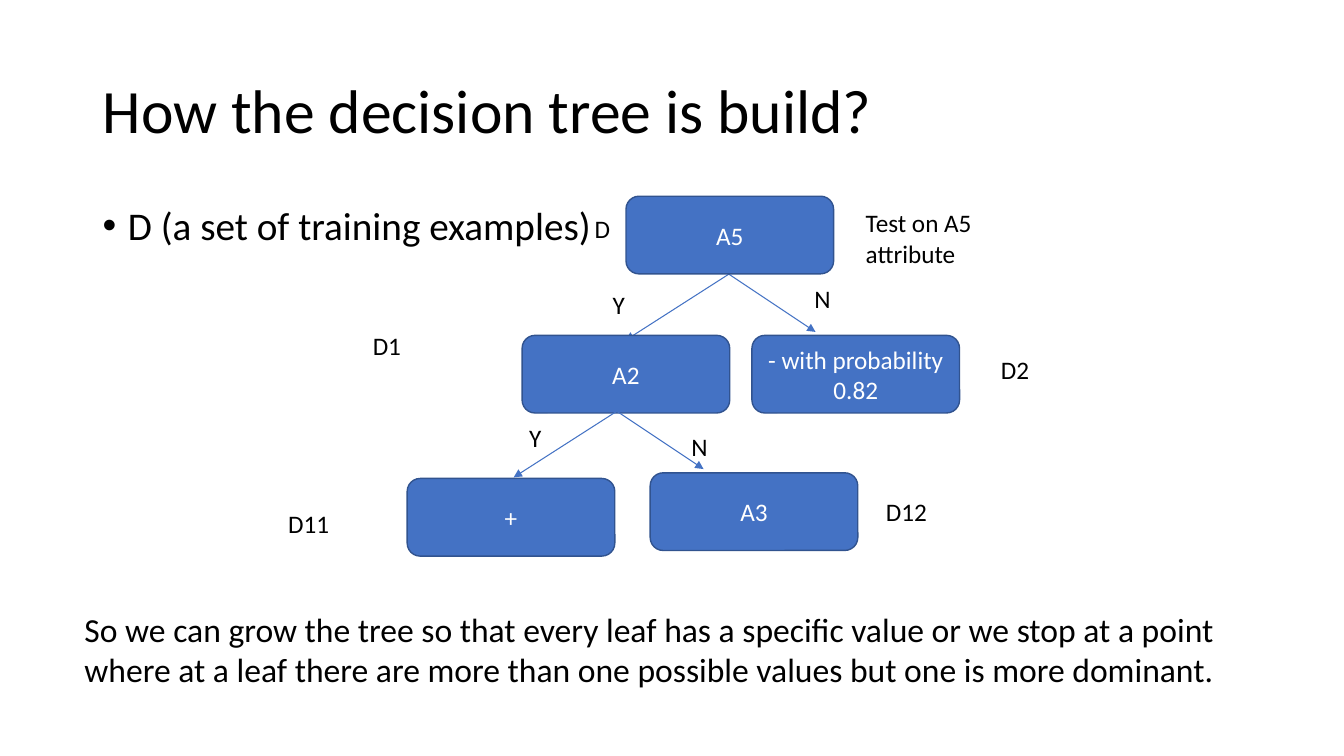
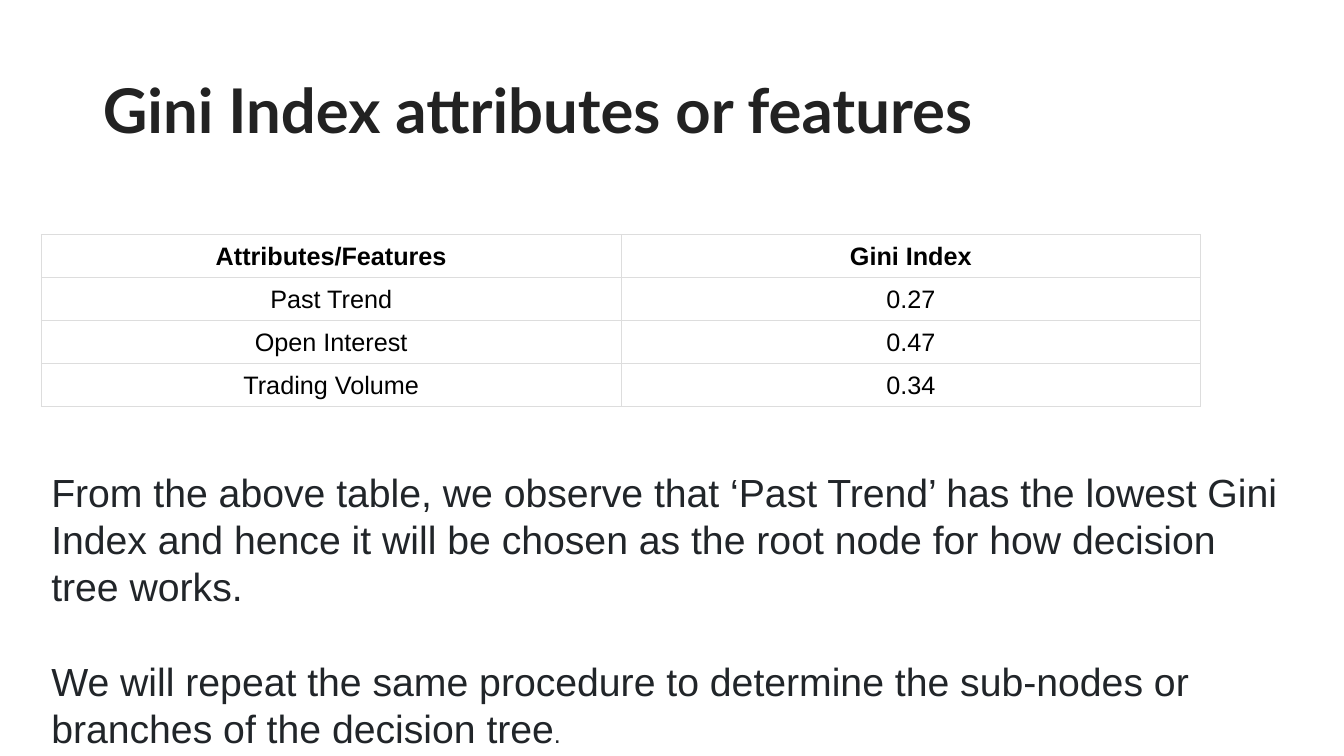
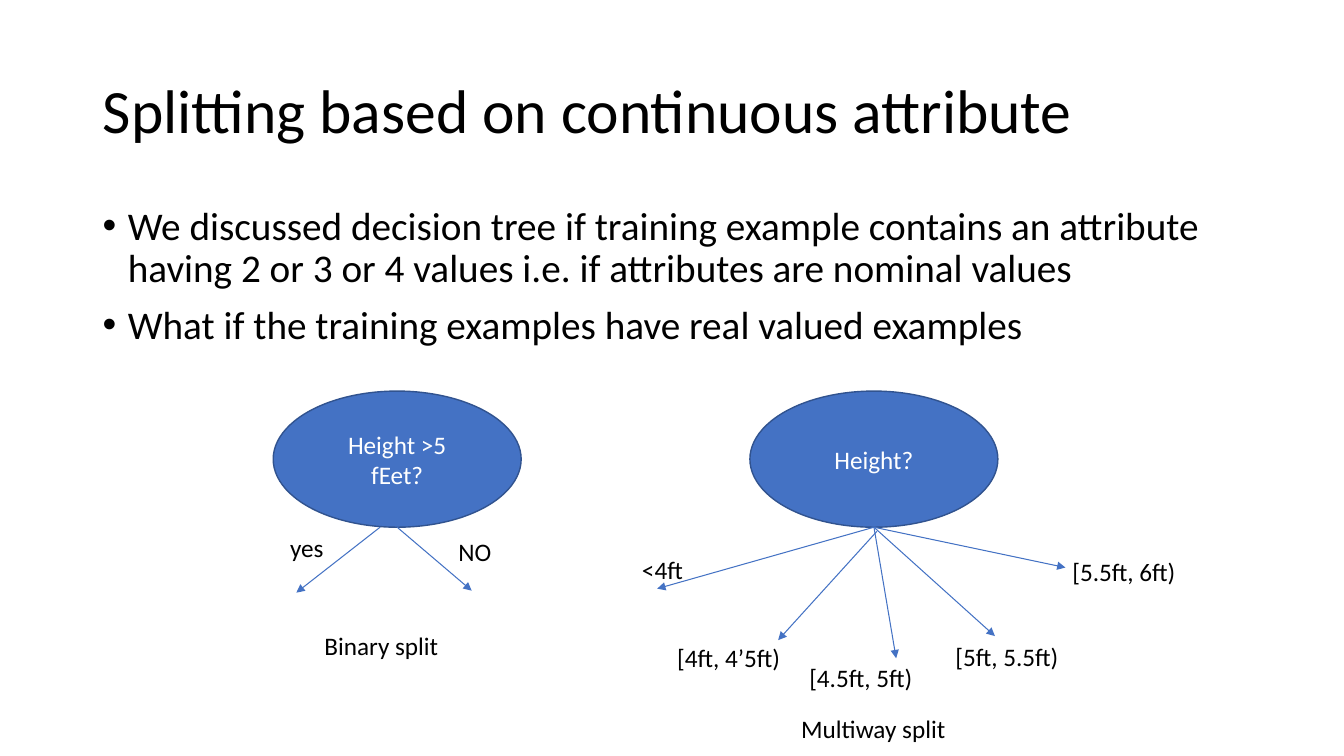
from dataclasses import dataclass

from lxml import etree
from pptx import Presentation
from pptx.dml.color import RGBColor
from pptx.enum.shapes import MSO_CONNECTOR, MSO_SHAPE
from pptx.enum.text import MSO_ANCHOR, MSO_AUTO_SIZE, PP_ALIGN
from pptx.oxml.ns import qn
from pptx.util import Emu, Inches, Pt

LEFT, MID = PP_ALIGN.LEFT, PP_ALIGN.CENTER
TOP, CORE = MSO_ANCHOR.TOP, MSO_ANCHOR.MIDDLE
FIXED = MSO_AUTO_SIZE.NONE
ROUND, OVAL = MSO_SHAPE.ROUNDED_RECTANGLE, MSO_SHAPE.OVAL
LINE = MSO_CONNECTOR.STRAIGHT
WIDE, HIGH = Inches(13.333), Inches(7.5)
UNIT = WIDE / 100


@dataclass(frozen=True)
class Theme:
    """Colours, fonts and type sizes shared by the slides."""

    ink: str = "000000"
    dark: str = "222222"
    slate: str = "212529"
    white: str = "FFFFFF"
    blue: str = "4472C4"
    edge: str = "31538F"
    rule: str = "DDDDDD"
    font: str = "Calibri"
    sans: str = "Arial"
    strong: str = "Lato"
    head: int = 44
    body: int = 28
    note: int = 24
    small: int = 18


LOOK = Theme()


def grid(*nums):
    """Turn grid units, a hundred to the slide's width, into lengths."""
    return [Emu(round(num * UNIT)) for num in nums]


def rgb(code):
    """Return the colour for a hex code."""
    return RGBColor.from_string(code)


def write(frame, *paras, size=LOOK.small, font=LOOK.font, color=LOOK.ink,
          bold=False, align=LEFT, anchor=TOP, space=None, gap=0, dot=False):
    """Fill a frame; a paragraph is a string or a tuple of (text, size) runs."""
    frame.word_wrap = True
    frame.auto_size = FIXED
    frame.vertical_anchor = anchor
    for num, runs in enumerate(paras):
        para = frame.add_paragraph() if num else frame.paragraphs[0]
        if dot:
            props = para._p.get_or_add_pPr()
            props.set("marL", str(Inches(0.25)))
            props.set("indent", str(-Inches(0.25)))
            etree.SubElement(props, qn("a:buFont")).set("typeface", "Arial")
            etree.SubElement(props, qn("a:buChar")).set("char", "•")
        para.alignment = align
        if space:
            para.line_spacing = space
        if num and gap:
            para.space_before = Pt(gap)
        for text, points in [(runs, size)] if isinstance(runs, str) else runs:
            run = para.add_run()
            run.text = text
            run.font.size = Pt(points)
            run.font.name = font
            run.font.bold = bold
            run.font.color.rgb = rgb(color)


def start(deck, text, **style):
    """Add a title-only slide with its title in place."""
    slide = deck.slides.add_slide(deck.slide_layouts[5])
    title = slide.shapes.title
    title.left, title.top, title.width, title.height = grid(6.9, 3, 86.25, 10.88)
    write(title.text_frame, text, size=LOOK.head, anchor=CORE, space=0.9, **style)
    return slide


def label(slide, x, y, *paras, w=12.45, h=3, **style):
    """Add a text box."""
    box = slide.shapes.add_textbox(*grid(x, y, w, h))
    write(box.text_frame, *paras, **style)


def points(slide, *paras, w=86.25):
    """Add the bulleted body text."""
    label(slide, 6.9, 15, *paras, w=w, h=35.7, size=LOOK.body,
          space=0.9, gap=10, dot=True)


def node(slide, kind, x, y, w, h, text):
    """Add a filled shape with centred white text."""
    shape = slide.shapes.add_shape(kind, *grid(x, y, w, h))
    shape.shadow.inherit = False
    shape.fill.solid()
    shape.fill.fore_color.rgb = rgb(LOOK.blue)
    shape.line.color.rgb = rgb(LOOK.edge)
    shape.line.width = Pt(1)
    write(shape.text_frame, text, color=LOOK.white, align=MID, anchor=CORE)


def arrow(slide, x, y, to_x, to_y):
    """Add a thin arrow between two points."""
    link = slide.shapes.add_connector(LINE, *grid(x, y, to_x, to_y))
    link.line.color.rgb = rgb(LOOK.blue)
    link.line.width = Pt(0.75)
    props = link._element.spPr
    tip = etree.SubElement(props.find(qn("a:ln")), qn("a:tailEnd"))
    tip.set("type", "triangle")
    etree.SubElement(props, qn("a:effectLst"))


def fork(slide, x, y):
    """Add the yes and no arrows below a tree node."""
    for dx, dy in ((-7.68, 4.92), (6.45, 4.3)):
        arrow(slide, x, y, x + dx, y + dy)


def edges(cell):
    """Draw a thin rule on each side of a cell."""
    props = cell._tc.get_or_add_tcPr()
    for side in ("lnL", "lnR", "lnT", "lnB"):
        line = etree.SubElement(props, qn(f"a:{side}"))
        line.set("w", str(Pt(0.75)))
        fill = etree.SubElement(line, qn("a:solidFill"))
        etree.SubElement(fill, qn("a:srgbClr")).set("val", LOOK.rule)


def table(slide, x, y, w, h, rows):
    """Add a ruled table of equal cells with a bold first row."""
    cols = len(rows[0])
    frame = slide.shapes.add_table(
        len(rows), cols, *grid(x, y, w * cols, h * len(rows)))
    frame.table.first_row = frame.table.horz_banding = False
    for r, row in enumerate(rows):
        for c, text in enumerate(row):
            cell = frame.table.cell(r, c)
            edges(cell)
            cell.fill.solid()
            cell.fill.fore_color.rgb = rgb(LOOK.white)
            cell.margin_left = cell.margin_right = Inches(0.16)
            cell.margin_top = cell.margin_bottom = Inches(0.07)
            write(cell.text_frame, text, font=LOOK.sans, bold=r == 0, align=MID)
            cell.vertical_anchor = CORE


def tree(deck):
    """Build the slide on growing a tree."""
    slide = start(deck, "How the decision tree is build?")
    points(slide, "D (a set of training examples)", w=45.08)
    fork(slide, 54.23, 20.4)
    for x, y, text in (
        (46.58, 14.6, "A5"),
        (38.85, 24.95, "A2"),
        (55.95, 24.95, "- with probability 0.82"),
        (30.3, 35.6, "+"),
        (48.38, 35.18, "A3"),
    ):
        node(slide, ROUND, x, y, 15.45, 5.78, text)
    fork(slide, 45.9, 30.6)
    for x, y, text in (
        (63.68, 15.08, "Test on A5 attribute"),
        (27, 24.23, "D1"),
        (73.73, 26.03, "D2"),
        (20.7, 37.43, "D11"),
        (65.18, 36.53, "D12"),
        (44.85, 21.15, "Y"),
        (59.85, 20.7, "N"),
        (38.63, 31.05, "Y"),
        (50.7, 31.73, "N"),
        (43.5, 15.53, "D"),
    ):
        label(slide, x, y, text)
    label(slide, 5.55, 44.93,
          "So we can grow the tree so that every leaf has a specific value or "
          "we stop at a point where at a leaf there are more than one possible "
          "values but one is more dominant.",
          w=91.35, h=6.83, size=LOOK.note)


def gini(deck):
    """Build the slide on the Gini index."""
    slide = start(deck, "Gini Index attributes or features",
                  font=LOOK.strong, color=LOOK.dark, bold=True)
    table(slide, 3.08, 17.48, 43.13, 3.2, (
        ("Attributes/Features", "Gini Index"),
        ("Past Trend", "0.27"),
        ("Open Interest", "0.47"),
        ("Trading Volume", "0.34"),
    ))
    label(slide, 3.08, 34.5,
          "From the above table, we observe that ‘Past Trend’ has the lowest "
          "Gini Index and hence it will be chosen as the root node for how "
          "decision tree works.",
          (("We will repeat the same procedure to determine the sub-nodes or "
            "branches of the decision tree", LOOK.body), (".", LOOK.small)),
          w=93.6, h=18.45, size=LOOK.body, font=LOOK.sans, color=LOOK.slate,
          gap=33.6)


def split(deck):
    """Build the slide on continuous attributes."""
    slide = start(deck, "Splitting based on continuous attribute")
    points(slide,
           "We discussed decision tree if training example contains an "
           "attribute having 2 or 3 or 4 values i.e. if attributes are nominal "
           "values",
           "What if the training examples have real valued examples")
    for x, text in ((20.33, "Height >5 fEet?"), (55.8, "Height?")):
        node(slide, OVAL, x, 29.1, 18.45, 10.13, text)
    for ends in (
        (28.28, 39.23, 22.05, 44.1),
        (29.55, 39.23, 35.1, 43.95),
        (65.03, 39.23, 48.9, 43.8),
        (65.25, 39.53, 57.9, 47.63),
        (65.03, 39.23, 66.68, 48.98),
        (65.03, 39.23, 74.03, 47.33),
        (65.03, 39.23, 79.28, 42.23),
    ):
        arrow(slide, *ends)
    for x, y, text in (
        (20.85, 39.23, "yes"),
        (33.38, 39.53, "NO"),
        (47.03, 40.88, "<4ft"),
        (49.65, 47.4, "[4ft, 4’5ft)"),
        (59.48, 48.9, "[4.5ft, 5ft)"),
        (70.35, 47.33, "[5ft, 5.5ft)"),
        (79.05, 41.03, "[5.5ft, 6ft)"),
        (23.4, 46.5, "Binary split"),
        (58.88, 52.73, "Multiway split"),
    ):
        label(slide, x, y, text)


def main():
    """Build and save the deck."""
    deck = Presentation()
    deck.slide_width, deck.slide_height = WIDE, HIGH
    for build in (tree, gini, split):
        build(deck)
    deck.save("out.pptx")


if __name__ == "__main__":
    main()
